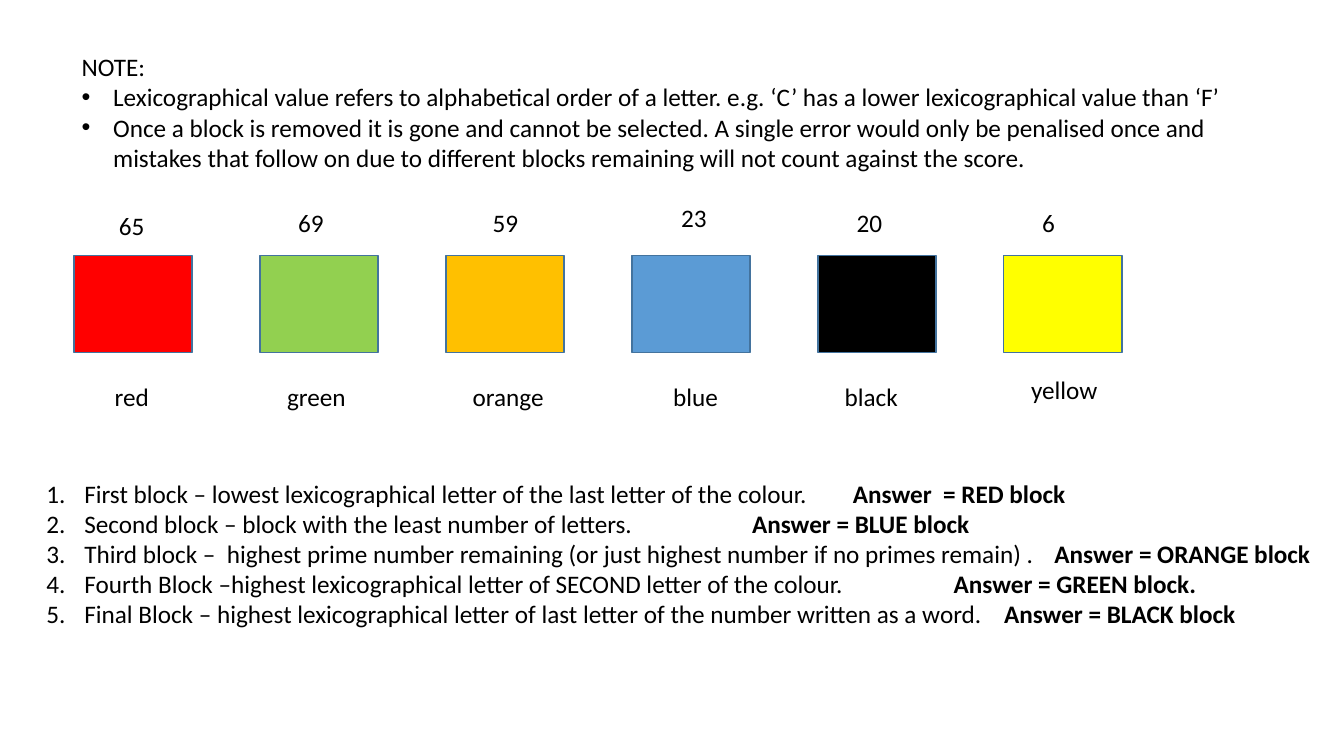
from lxml.etree import SubElement
from pptx import Presentation
from pptx.dml.color import RGBColor
from pptx.enum.shapes import MSO_SHAPE
from pptx.enum.text import MSO_ANCHOR, MSO_AUTO_SIZE
from pptx.oxml.ns import qn
from pptx.util import Pt

# Content
NOTES = [
    "NOTE:",
    "Lexicographical value refers to alphabetical order of a letter. "
    "e.g. ‘C’ has a lower lexicographical value than ‘F’",
    "Once a block is removed it is gone and cannot be selected. A single error "
    "would only be penalised once and mistakes that follow on due to different "
    "blocks remaining will not count against the score.",
]
# number, its left and top; colour name, its left and top; fill
BLOCKS = [
    ("65", 77.8, 146.9, "red", 74.9, 268.6, "FF0000"),
    ("69", 205.9, 144.7, "green", 198, 268.6, "92D050"),
    ("59", 344.9, 144.7, "orange", 330.5, 268.6, "FFC000"),
    ("23", 479.5, 141.1, "blue", 473.8, 268.6, "5B9BD5"),
    ("20", 604.8, 144.7, "black", 596.2, 268.6, "000000"),
    ("6", 737.3, 144.7, "yellow", 729.4, 263.5, "FFFF00"),
]
# step with the tabs that lead to its answer, answer
STEPS = [
    ("First block – lowest lexicographical letter of the last letter of the colour.\t",
     "Answer  = RED block"),
    ("Second block – block with the least number of letters. \t\t\t",
     "Answer = BLUE block"),
    ("Third block –  highest prime number remaining "
     "(or just highest number if no primes remain) . \t", "Answer = ORANGE block"),
    ("Fourth Block –highest lexicographical letter of SECOND letter of the colour.\t\t\t",
     "Answer = GREEN block."),
    ("Final Block – highest lexicographical letter of last letter "
     "of the number written as a word. \t", "Answer = BLACK block"),
]

# Format
FONT = {"name": "Calibri", "size": Pt(18)}
FRAME = {"word_wrap": True, "auto_size": MSO_AUTO_SIZE.NONE,
         "vertical_anchor": MSO_ANCHOR.TOP}
SPACING = {"space_before": Pt(0), "space_after": Pt(0), "line_spacing": 1.0}
BLOCK_LEFT, BLOCK_TOP, BLOCK_PITCH = 52.8, 182.7, 132.84
BLOCK_WIDTH, BLOCK_HEIGHT = 84.4, 69.2
LABEL_WIDTH, LABEL_HEIGHT = 72, 29
BLACK, OUTLINE = "000000", "43739E"


def color(hex_value):
    return RGBColor.from_string(hex_value)


def apply(target, values):
    for key, value in values.items():
        setattr(target, key, value)


def add_run(paragraph, text, bold=False):
    run = paragraph.add_run()
    run.text = text
    apply(run.font, {**FONT, "bold": bold})
    run.font.color.rgb = color(BLACK)


def set_bullet(paragraph, indent, tag, **attributes):
    properties = paragraph._p.get_or_add_pPr()
    properties.set("marL", str(Pt(indent)))
    properties.set("indent", str(-Pt(indent)))
    SubElement(properties, qn(tag), attributes)


def place_body(body, left, top, width, height):
    apply(body, {"left": Pt(left), "top": Pt(top),
                 "width": Pt(width), "height": Pt(height)})
    apply(body.text_frame, FRAME)
    return body.text_frame


def next_paragraph(frame, index):
    paragraph = frame.add_paragraph() if index else frame.paragraphs[0]
    apply(paragraph, SPACING)
    return paragraph


def add_label(text, left, top):
    label = slide.shapes.add_textbox(Pt(left), Pt(top), Pt(LABEL_WIDTH), Pt(LABEL_HEIGHT))
    apply(label.text_frame, FRAME)
    add_run(label.text_frame.paragraphs[0], text)


presentation = Presentation()
apply(presentation, {"slide_width": Pt(960), "slide_height": Pt(540)})
slide = presentation.slides.add_slide(presentation.slide_layouts[3])
title, notes_body, steps_body = slide.placeholders
title.element.getparent().remove(title.element)

# Notes
notes = place_body(notes_body, 51.1, 33.1, 831.6, 94.3)
for index, note in enumerate(NOTES):
    paragraph = next_paragraph(notes, index)
    add_run(paragraph, note)
    if index:
        set_bullet(paragraph, 22.5, "a:buChar", char="•")
    else:
        set_bullet(paragraph, 0, "a:buNone")

# Blocks with number above and colour name below
for index, (number, number_left, number_top, name, name_left, name_top, fill) in enumerate(BLOCKS):
    block = slide.shapes.add_shape(
        MSO_SHAPE.RECTANGLE, Pt(BLOCK_LEFT + index * BLOCK_PITCH), Pt(BLOCK_TOP),
        Pt(BLOCK_WIDTH), Pt(BLOCK_HEIGHT))
    block.shadow.inherit = False
    block.fill.solid()
    block.fill.fore_color.rgb = color(fill)
    block.line.color.rgb = color(OUTLINE)
    block.line.width = Pt(1)
    add_label(number, number_left, number_top)
    add_label(name, name_left, name_top)

# Steps with answers
steps = place_body(steps_body, 26, 337.7, 934, 159.8)
for index, (step, answer) in enumerate(STEPS):
    paragraph = next_paragraph(steps, index)
    add_run(paragraph, step)
    add_run(paragraph, answer, bold=True)
    set_bullet(paragraph, 27, "a:buAutoNum", type="arabicPeriod")

presentation.save("out.pptx")
